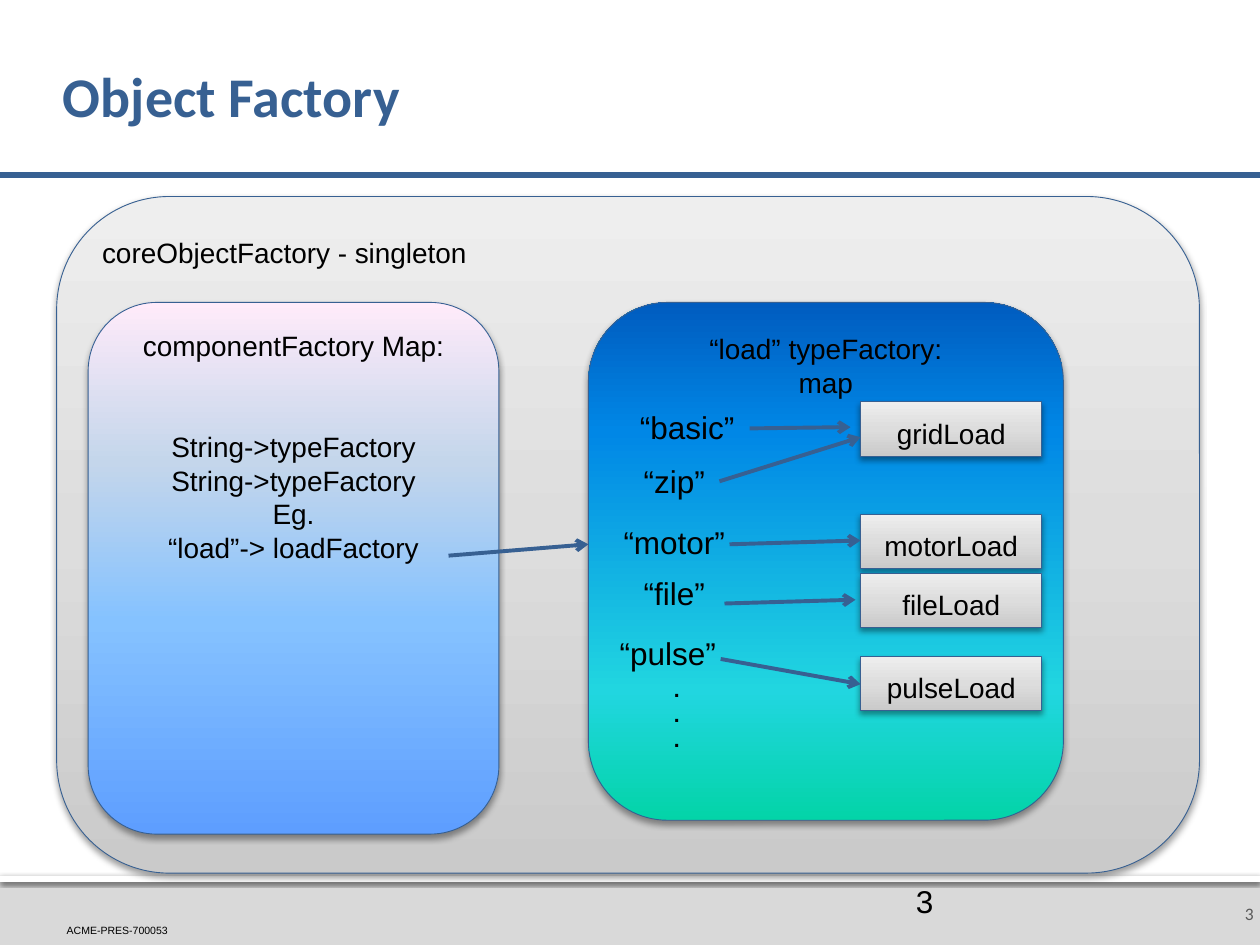
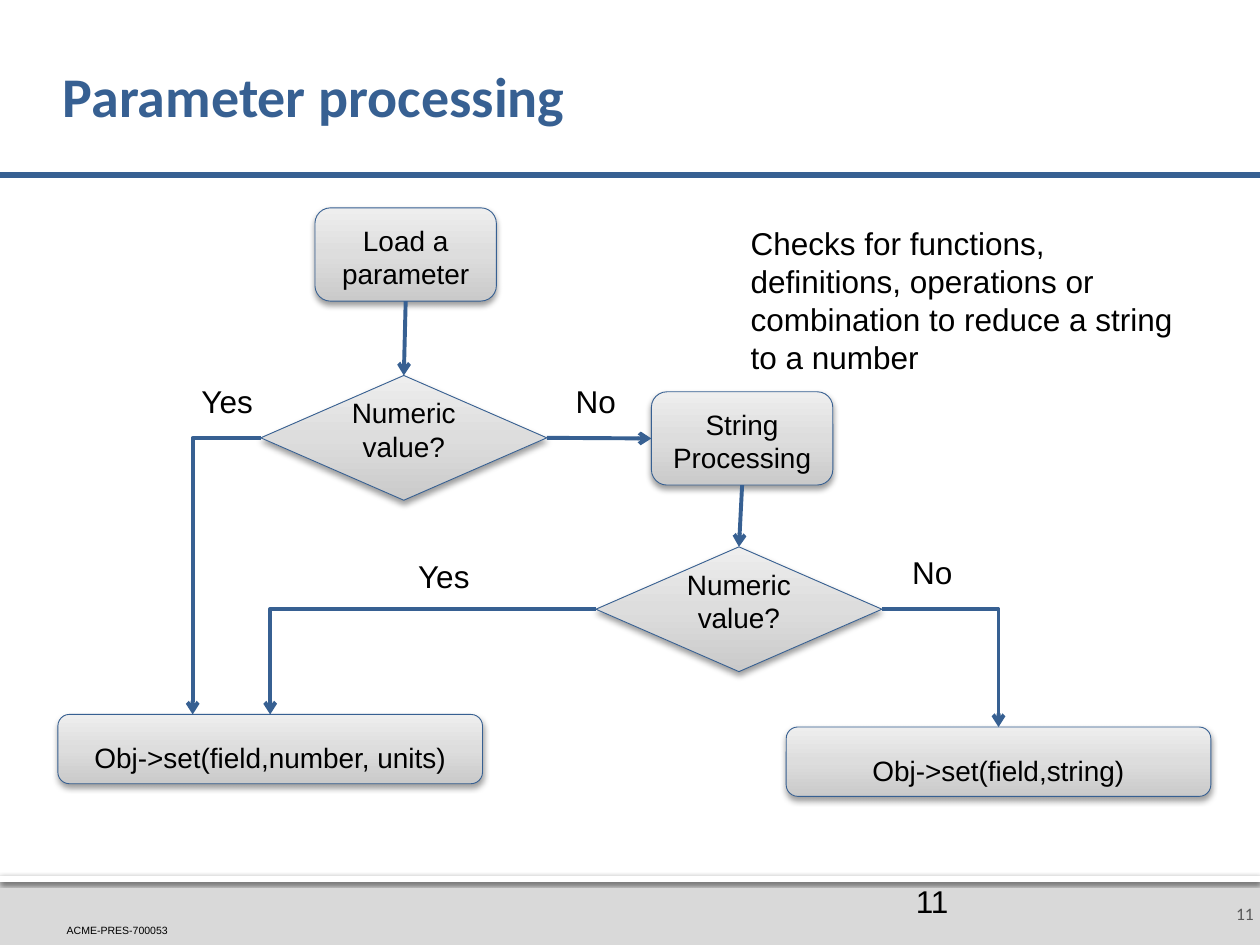
from collections import namedtuple

from lxml.etree import SubElement
from pptx import Presentation
from pptx.dml.color import RGBColor
from pptx.enum.shapes import MSO_CONNECTOR, MSO_SHAPE
from pptx.enum.text import MSO_ANCHOR, PP_ALIGN
from pptx.oxml.ns import qn
from pptx.util import Inches, Pt

# The slide is a grid of 10 columns by 7.5 rows, with square cells
COLUMNS, ROWS = 10, 7.5
CELL = Inches(1)

COLORS = {
    "accent": "376092",
    "text": "000000",
    "number": "595959",
    "band": "D9D9D9",
    "white": "FFFFFF",
}
# Gradient stops from the bottom edge to the top edge
GRADIENTS = {
    "grey": [(0, "CACACA"), (50, "DDDDDD"), (100, "EEEEEE")],
    "dawn": [(0, "5E9EFF"), (40, "85C2FF"), (70, "C4D6EB"), (100, "FFEBFA")],
    "ocean": [(0, "03D4A8"), (25, "21D6E0"), (75, "0087E6"), (100, "005CBF")],
}
SOFT_SHADOW = (38, 3.5, 2)  # opacity in percent, blur and distance in points
BAND_SHADOW = (60, 2.5, 0.8)
FOOTER_TOP = 6.95
DOCUMENT_ID = "ACME-PRES-700053"


class Box(namedtuple("Box", "x y w h")):
    """A rectangle on the grid, with the midpoints of its sides."""

    @property
    def top(self):
        return self.x + self.w / 2, self.y

    @property
    def bottom(self):
        return self.x + self.w / 2, self.y + self.h

    @property
    def left(self):
        return self.x, self.y + self.h / 2

    @property
    def right(self):
        return self.x + self.w, self.y + self.h / 2


def cells(*values):
    return [round(value * CELL) for value in values]


def color(name):
    return RGBColor.from_string(COLORS[name])


# --- Element kinds ---

def write(holder, text, size=16, font="Arial", ink="text", bold=False,
          align=PP_ALIGN.LEFT, anchor=MSO_ANCHOR.TOP, wrap=True,
          insets=(0.1, 0.05, 0.1, 0.05), spacing=None):
    """Fill a shape or text box; each line of text is a paragraph."""
    frame = holder.text_frame
    frame.word_wrap = wrap
    frame.vertical_anchor = anchor
    (frame.margin_left, frame.margin_top,
     frame.margin_right, frame.margin_bottom) = cells(*insets)
    frame.text = text
    for paragraph in frame.paragraphs:
        paragraph.alignment = align
        paragraph.line_spacing = spacing
        font_format = paragraph.font
        for target in [font_format] + [run.font for run in paragraph.runs]:
            target.name, target.size, target.bold = font, Pt(size), bold
            target.color.rgb = color(ink)


def add_label(slide, box, text, size=18, **text_format):
    label = slide.shapes.add_textbox(*cells(*box))
    write(label, text, size=size, **text_format)


def add_shadow(shape, opacity, blur, distance):
    effects = shape._element.spPr.find(qn("a:effectLst"))
    shadow = SubElement(effects, qn("a:outerShdw"), blurRad=str(Pt(blur)),
                        dist=str(Pt(distance)), dir="5400000", rotWithShape="0")
    ink = SubElement(shadow, qn("a:srgbClr"), val=COLORS["text"])
    SubElement(ink, qn("a:alpha"), val=str(opacity * 1000))


def add_bar(slide, box, fill, shadow=None):
    bar = slide.shapes.add_shape(MSO_SHAPE.RECTANGLE, *cells(*box))
    bar.fill.solid()
    bar.fill.fore_color.rgb = color(fill)
    bar.line.fill.background()
    bar.shadow.inherit = False
    if shadow:
        add_shadow(bar, *shadow)


def add_panel(slide, kind, box, text, gradient="grey", **text_format):
    """Outlined shape with a vertical gradient, a soft shadow and text."""
    panel = slide.shapes.add_shape(kind, *cells(*box))
    panel.fill.gradient()
    panel.fill.gradient_angle = 90
    stops = panel._element.spPr.find(qn("a:gradFill")).find(qn("a:gsLst"))
    for stop in list(stops):
        stops.remove(stop)
    for position, value in GRADIENTS[gradient]:
        stop = SubElement(stops, qn("a:gs"), pos=str(position * 1000))
        SubElement(stop, qn("a:srgbClr"), val=value)
    panel.line.color.rgb = color("accent")
    panel.line.width = Pt(0.5)
    panel.shadow.inherit = False
    add_shadow(panel, *SOFT_SHADOW)
    write(panel, text, **text_format)


def add_node(slide, kind, box, text):
    add_panel(slide, kind, box, text, align=PP_ALIGN.CENTER,
              anchor=MSO_ANCHOR.BOTTOM)


def add_line(slide, start, end, width=2.25, arrow=True, bent=False):
    """Straight line, or one that runs across and then down."""
    kind = MSO_CONNECTOR.ELBOW if bent else MSO_CONNECTOR.STRAIGHT
    line = slide.shapes.add_connector(kind, *cells(*start, *end))
    line.line.color.rgb = color("accent")
    line.line.width = Pt(width)
    properties = line._element.spPr
    if bent:
        properties.find(qn("a:prstGeom")).set("prst", "bentConnector2")
    if arrow:
        SubElement(properties.find(qn("a:ln")), qn("a:tailEnd"), type="arrow")
    SubElement(properties, qn("a:effectLst"))


def add_framed_slide(deck, title, number):
    """Blank slide with the shared title, rule, footer and numbers."""
    slide = deck.slides.add_slide(deck.slide_layouts[6])
    add_bar(slide, (0, FOOTER_TOP, COLUMNS, ROWS - FOOTER_TOP), "band")
    add_bar(slide, (0, FOOTER_TOP, COLUMNS, 0.05), "white", BAND_SHADOW)
    add_label(slide, (0.53, 7.33, 0.96, 0.1), DOCUMENT_ID, size=6,
              anchor=MSO_ANCHOR.BOTTOM, insets=(0, 0, 0, 0))
    add_label(slide, (9.65, 7, 0.35, 0.5), number, size=10, font="Calibri",
              ink="number", align=PP_ALIGN.RIGHT, anchor=MSO_ANCHOR.MIDDLE,
              insets=(0.1, 0.05, 0.05, 0.05))
    add_line(slide, (0, 1.39), (COLUMNS, 1.39), width=3, arrow=False)
    add_label(slide, (0.5, 0.24, 9, 1.1), title, size=32, font="Calibri",
              ink="accent", bold=True, anchor=MSO_ANCHOR.MIDDLE,
              insets=(0, 0.05, 0.05, 0.05), spacing=0.9)
    add_label(slide, (7.17, FOOTER_TOP, 2.33, 0.4), number)
    return slide


# --- Slides ---

def build_object_factory(deck):
    slide = add_framed_slide(deck, "Object Factory", "3")
    rounded = MSO_SHAPE.ROUNDED_RECTANGLE

    # Nested factories
    type_factory = Box(4.67, 2.4, 3.77, 4.11)
    add_panel(slide, rounded, (0.45, 1.56, 9.07, 5.37),
              "coreObjectFactory - singleton")
    component_map = Box(0.7, 2.4, 3.26, 4.22)
    add_panel(slide, rounded, component_map, "", gradient="dawn")
    add_label(slide, (0.86, 2.56, 2.94, 0.36), "componentFactory Map:",
              size=16, align=PP_ALIGN.CENTER)
    add_label(slide, (0.86, 3.36, 2.94, 1.2),
              "String->typeFactory\nString->typeFactory\nEg.\n“load”-> loadFactory",
              size=16, align=PP_ALIGN.CENTER)
    add_panel(slide, rounded, type_factory, "“load” typeFactory:\nmap",
              gradient="ocean", align=PP_ALIGN.CENTER)

    # Classes that the type factory can create
    class_tops = {"gridLoad": 3.19, "motorLoad": 4.08,
                  "fileLoad": 4.55, "pulseLoad": 5.21}
    for name, top in class_tops.items():
        add_node(slide, MSO_SHAPE.RECTANGLE, (6.83, top, 1.44, 0.43), name)

    # Keys, each with an arrow to its class
    keys = [
        ("“basic”", (4.98, 3.19, 0.96), (5.95, 3.4), (6.75, 3.39)),
        ("“zip”", (5.01, 3.62, 0.69), (5.71, 3.82), (6.83, 3.47)),
        ("“motor”", (4.85, 4.1, 1.02), (5.79, 4.32), (6.83, 4.29)),
        ("“file”", (5.01, 4.51, 0.69), (5.75, 4.79), (6.79, 4.76)),
        ("“pulse”", (4.82, 4.98, 0.97), (5.72, 5.23), (6.83, 5.43)),
    ]
    for key, place, start, end in keys:
        add_label(slide, (*place, 0.4), key, wrap=False)
        add_line(slide, start, end)
    add_label(slide, (5.25, 5.32, 0.25, 0.91), ".\n.\n.", size=12, bold=True)
    add_line(slide, (3.56, 4.41), (type_factory.x, 4.32))


def build_parameter_processing(deck):
    slide = add_framed_slide(deck, "Parameter processing", "11")

    # Steps, decisions and results
    load = Box(2.5, 1.65, 1.44, 0.74)
    is_number = Box(2.07, 2.98, 2.27, 0.99)
    process_string = Box(5.17, 3.11, 1.44, 0.74)
    is_number_now = Box(4.73, 4.34, 2.27, 0.99)
    set_number = Box(0.46, 5.67, 3.37, 0.55)
    set_string = Box(6.24, 5.77, 3.37, 0.55)
    rounded, decision = MSO_SHAPE.ROUNDED_RECTANGLE, MSO_SHAPE.FLOWCHART_DECISION
    for kind, box, text in [
        (rounded, load, "Load a parameter"),
        (decision, is_number, "Numeric value?"),
        (rounded, process_string, "String\nProcessing"),
        (decision, is_number_now, "Numeric value?"),
        (rounded, set_number, "Obj->set(field,number, units)"),
        (rounded, set_string, "Obj->set(field,string)"),
    ]:
        add_node(slide, kind, box, text)

    # Flow
    add_line(slide, load.bottom, is_number.top)
    add_line(slide, is_number.right, process_string.left)
    add_line(slide, process_string.bottom, is_number_now.top)
    add_line(slide, is_number.left, (1.53, set_number.y), bent=True)
    add_line(slide, is_number_now.left, set_number.top, bent=True)
    add_line(slide, is_number_now.right, set_string.top, bent=True)

    # Answers and remark
    for answer, left, top, width in [("No", 4.47, 2.98, 0.52), ("No", 7.14, 4.34, 0.52),
                                     ("Yes", 1.5, 2.98, 0.61), ("Yes", 3.22, 4.37, 0.61)]:
        add_label(slide, (left, top, width, 0.4), answer, wrap=False)
    add_label(slide, (5.86, 1.73, 3.67, 1.31),
              "Checks for functions, definitions, operations or "
              "combination to reduce a string to a number")


def main():
    deck = Presentation()
    deck.slide_width, deck.slide_height = cells(COLUMNS, ROWS)
    build_object_factory(deck)
    build_parameter_processing(deck)
    deck.save("out.pptx")


if __name__ == "__main__":
    main()
